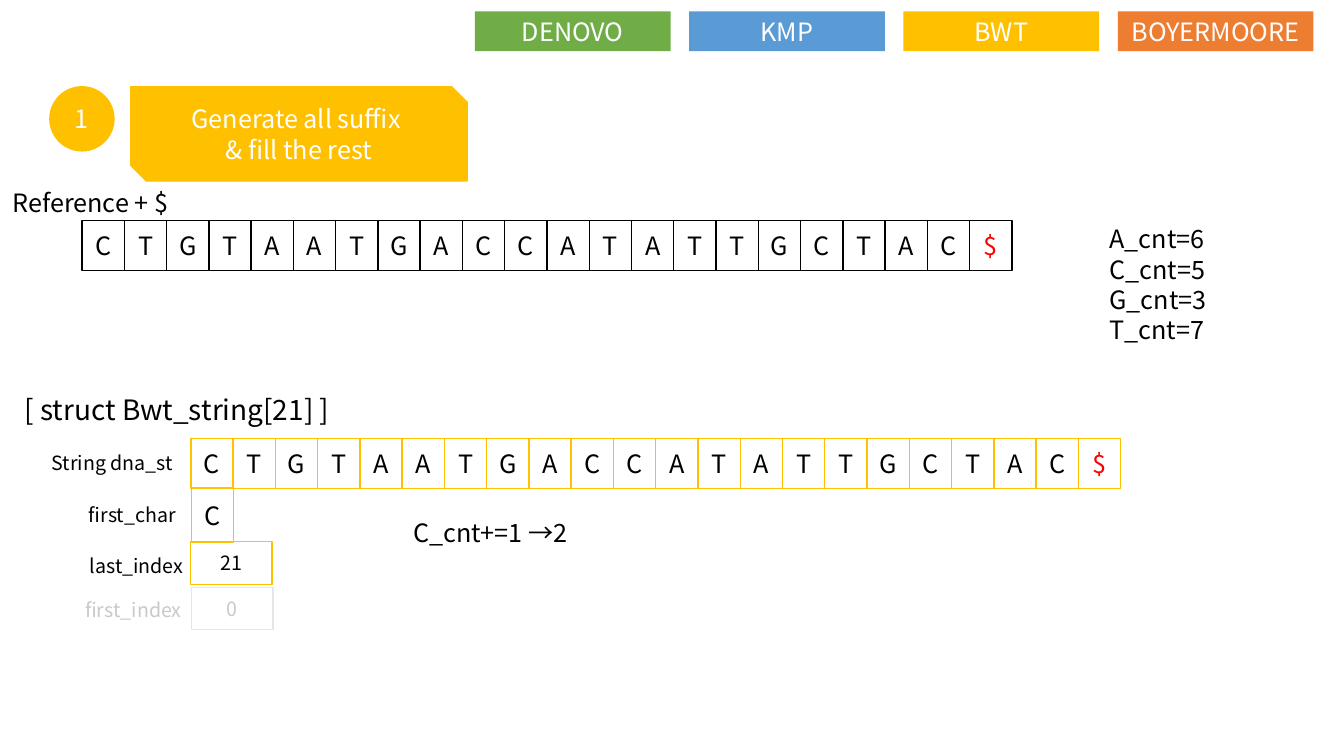
from pptx import Presentation
from pptx.dml.color import RGBColor
from pptx.enum.shapes import MSO_SHAPE as Shape
from pptx.enum.text import MSO_ANCHOR as Anchor, MSO_AUTO_SIZE as AutoSize, PP_ALIGN as Align
from pptx.util import Cm, Pt

FONT = "Noto Sans CJK KR"
COLORS = {
    "white": "FFFFFF", "black": "000000", "red": "FF0000", "gold": "FFC000",
    "green": "70AD47", "blue": "5B9BD5", "orange": "ED7D31",
    "faded line": "E7E6E6", "faded text": "C9C9C9",
}

# Content; boxes are left, top, width, height in centimetres
TABS = [("DENOVO", "green"), ("KMP", "blue"), ("BWT", "gold"), ("BOYERMOORE", "orange")]
STEP_NUMBER = "1"
STEP_TITLE = ["Generate all suffix ", "& fill the rest"]
REFERENCE = "CTGTAATGACCATATTGCTAC$"
STRUCT_TITLE = "[ struct Bwt_string[21] ]"
FIELD_LABELS = [
    ("String dna_st", (0.5, 11.03, 4.67, 1.27), "black"),
    ("first_char", (1.85, 12.49, 2.97, 0.97), "black"),
    ("last_index", (1.96, 13.86, 2.97, 0.79), "black"),
    ("first_index", (1.88, 14.83, 2.97, 1.07), "faded text"),
]
FIELD_VALUES = [
    ("21", (4.8, 13.64, 2.06, 1.09), "black", "gold"),
    ("0", (4.82, 14.8, 2.06, 1.07), "faded text", "faded line"),
]
NOTES = [
    (["Reference + $"], (0.07, 4.6, 4.6, 1.02), False),
    (["C_cnt+=1 →2"], (10.16, 12.9, 4.78, 1.02), False),
    (["A_cnt=6", "C_cnt=5", "G_cnt=3", "T_cnt=7"], (27.71, 5.51, 6.05, 4.11), True),
]

TAB_LEFT, TAB_TOP, TAB_WIDTH, TAB_HEIGHT, TAB_PITCH = 11.97, 0.29, 4.93, 1, 5.4
CELL_HEIGHT = 1.26
CELL_WIDTH = 23.43 / len(REFERENCE)
REFERENCE_CORNER = (2.07, 5.56)
SUFFIX_CORNER = (4.81, 11.05)
FIRST_CHAR_BOX = (4.82, 12.3, CELL_WIDTH, 1.36)


def color(name):
    return RGBColor.from_string(COLORS[name])


def write_lines(text_frame, lines, size, text_color, align):
    for index, line in enumerate(lines):
        paragraph = text_frame.paragraphs[0] if index == 0 else text_frame.add_paragraph()
        paragraph.alignment = align
        run = paragraph.add_run()
        run.text = line
        run.font.name = FONT
        run.font.size = Pt(size)
        run.font.color.rgb = color(text_color)


def add_box(slide, lines, box, size=18, text_color="black", fill=None, line=None,
            kind=Shape.RECTANGLE):
    shape = slide.shapes.add_shape(kind, *map(Cm, box))
    shape.shadow.inherit = False
    if fill:
        shape.fill.solid()
        shape.fill.fore_color.rgb = color(fill)
    else:
        shape.fill.background()
    if line:
        shape.line.color.rgb = color(line)
        shape.line.width = Pt(1)
    else:
        shape.line.fill.background()
    shape.text_frame.vertical_anchor = Anchor.MIDDLE
    write_lines(shape.text_frame, lines, size, text_color, Align.CENTER)


def add_note(slide, lines, box, wrap):
    text_frame = slide.shapes.add_textbox(*map(Cm, box)).text_frame
    text_frame.word_wrap = wrap
    text_frame.auto_size = AutoSize.SHAPE_TO_FIT_TEXT
    write_lines(text_frame, lines, 18, "black", Align.LEFT)


def add_sequence(slide, corner, line):
    """Draw one cell per letter, with the end marker in red."""
    left, top = corner
    for index, letter in enumerate(REFERENCE):
        add_box(slide, [letter], (left + index * CELL_WIDTH, top, CELL_WIDTH, CELL_HEIGHT),
                text_color="red" if letter == "$" else "black", line=line)


def main():
    presentation = Presentation()
    presentation.slide_width = Cm(33.87)
    presentation.slide_height = Cm(19.05)
    slide = presentation.slides.add_slide(presentation.slide_layouts[6])

    add_box(slide, [STEP_NUMBER], (1.24, 2.17, 1.65, 1.65), text_color="white",
            fill="gold", kind=Shape.OVAL)
    add_box(slide, STEP_TITLE, (3.28, 2.17, 8.51, 2.41), text_color="white",
            fill="gold", kind=Shape.SNIP_2_DIAG_RECTANGLE)
    add_sequence(slide, REFERENCE_CORNER, "black")

    for label, box, text_color in FIELD_LABELS:
        add_box(slide, [label], box, 14, text_color, fill="white")
    add_box(slide, [STRUCT_TITLE], (0.07, 9.8, 8.79, 1.04), 20, fill="white")
    for value, box, text_color, line in FIELD_VALUES:
        add_box(slide, [value], box, 14, text_color, fill="white", line=line)
    add_box(slide, [REFERENCE[0]], FIRST_CHAR_BOX, line="gold")
    add_sequence(slide, SUFFIX_CORNER, "gold")

    for lines, box, wrap in NOTES:
        add_note(slide, lines, box, wrap)
    for index, (name, fill) in enumerate(TABS):
        add_box(slide, [name], (TAB_LEFT + index * TAB_PITCH, TAB_TOP, TAB_WIDTH, TAB_HEIGHT),
                text_color="white", fill=fill)

    presentation.save("out.pptx")


if __name__ == "__main__":
    main()
